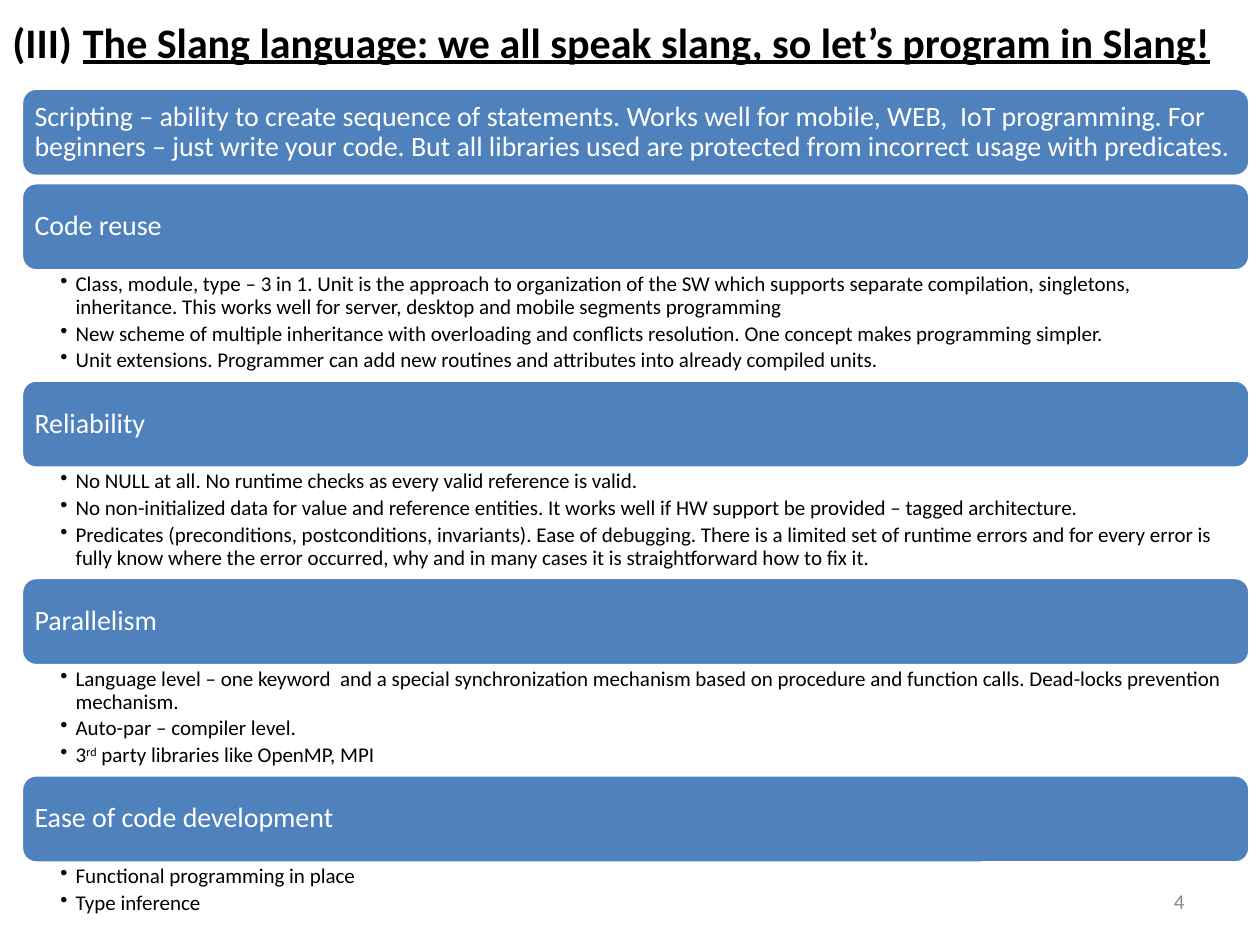
from lxml import etree
from pptx import Presentation
from pptx.dml.color import RGBColor
from pptx.enum.shapes import MSO_SHAPE
from pptx.enum.text import MSO_ANCHOR, PP_ALIGN
from pptx.oxml.ns import qn
from pptx.util import Inches, Pt

ROUND = MSO_SHAPE.ROUNDED_RECTANGLE
TOP, MIDDLE = MSO_ANCHOR.TOP, MSO_ANCHOR.MIDDLE
LEFT, RIGHT = PP_ALIGN.LEFT, PP_ALIGN.RIGHT
BLUE = RGBColor(0x4F, 0x81, 0xBD)
WHITE = RGBColor(0xFF, 0xFF, 0xFF)
BLACK = RGBColor(0, 0, 0)
GRAY = RGBColor(0x8C, 0x8C, 0x8C)

# Layout in inches
EDGE, WIDTH, BAR = 0.17, 9.75, 0.7
FIRST, LAST = 1.45, 6.15

INTRO = (
    "Scripting – ability to create sequence of statements. Works well for "
    "mobile, WEB,  IoT programming. For beginners – just write your code. "
    "But all libraries used are protected from incorrect usage with predicates."
)

# Heading, height of the notes, notes; ^ marks off superscript
TOPICS = [
    ("Code reuse", 0.87, [
        "Class, module, type – 3 in 1. Unit is the approach to organization of "
        "the SW which supports separate compilation, singletons, inheritance. "
        "This works well for server, desktop and mobile segments programming",
        "New scheme of multiple inheritance with overloading and conflicts "
        "resolution. One concept makes programming simpler.",
        "Unit extensions. Programmer can add new routines and attributes into "
        "already compiled units.",
    ]),
    ("Reliability", 0.87, [
        "No NULL at all. No runtime checks as every valid reference is valid.",
        "No non-initialized data for value and reference entities. It works "
        "well if HW support be provided – tagged architecture.",
        "Predicates (preconditions, postconditions, invariants). Ease of "
        "debugging. There is a limited set of runtime errors and for every "
        "error is fully know where the error occurred, why and in many cases "
        "it is straightforward how to fix it.",
    ]),
    ("Parallelism", 0.87, [
        "Language level – one keyword  and a special synchronization mechanism "
        "based on procedure and function calls. Dead-locks prevention mechanism.",
        "Auto-par – compiler level.",
        "3^rd^ party libraries like OpenMP, MPI",
    ]),
    ("Ease of code development", 0.45, [
        "Functional programming in place",
        "Type inference",
    ]),
]


class Deck:
    """Holds the style and the current slide."""
    font = "Calibri"

    def __init__(self, slide):
        self.shapes = slide.shapes

    def style(self, run, size, color, bold=False, line=False):
        font = run.font
        font.name, font.size = self.font, Pt(size)
        font.bold, font.underline = bold, line
        font.color.rgb = color

    def frame(self, shape, pads, anchor):
        frame = shape.text_frame
        frame.word_wrap = True
        frame.vertical_anchor = anchor
        (frame.margin_left, frame.margin_top,
         frame.margin_right, frame.margin_bottom) = map(Inches, pads)
        return frame

    def mark(self, para, indent, tag, **attrs):
        props = para._p.get_or_add_pPr()
        props.set("marL", str(Inches(indent)))
        props.set("indent", str(-Inches(indent)))
        etree.SubElement(props, qn("a:" + tag), attrs)

    def text(self, box, words, size, color, anchor=TOP, align=LEFT, **look):
        shape = self.shapes.add_textbox(*map(Inches, box))
        para = self.frame(shape, (0.1, 0.05, 0.1, 0.05), anchor).paragraphs[0]
        para.text, para.alignment = words, align
        self.style(para.runs[0], size, color, **look)
        return para

    def bar(self, top, words):
        box = (EDGE, top, WIDTH, BAR)
        shape = self.shapes.add_shape(ROUND, *map(Inches, box))
        shape.shadow.inherit = False
        shape.fill.solid()
        shape.fill.fore_color.rgb = BLUE
        shape.line.color.rgb = WHITE
        shape.line.width = Pt(2)
        para = self.frame(shape, [0.07] * 4, MIDDLE).paragraphs[0]
        para.text, para.alignment, para.line_spacing = words, LEFT, 0.9
        self.style(para.runs[0], 16, WHITE)

    def notes(self, top, height, items):
        box = (EDGE, top, WIDTH, height)
        shape = self.shapes.add_textbox(*map(Inches, box))
        frame = self.frame(shape, (0.31, 0.02, 0.12, 0.02), TOP)
        for i, item in enumerate(items):
            para = frame.add_paragraph() if i else frame.paragraphs[0]
            para.level, para.line_spacing = 1, 0.9
            para.space_after = Pt(2.4)
            self.mark(para, 0.12, "buChar", char="•")
            for j, part in enumerate(item.split("^")):
                run = para.add_run()
                run.text = part
                self.style(run, 12, BLACK)
                if j % 2:
                    run._r.get_or_add_rPr().set("baseline", "30000")


prs = Presentation()
prs.slide_width, prs.slide_height = Inches(10), Inches(7.5)
deck = Deck(prs.slides.add_slide(prs.slide_layouts[6]))

# Slide number and title
deck.text((7.17, 6.95, 2.33, 0.4), "4", 12, GRAY, MIDDLE, RIGHT)
title = deck.text(
    (0, 0.08, 10.08, 0.5),
    "The Slang language: we all speak slang, so let’s program in Slang!",
    24, BLACK, bold=True, line=True)
deck.mark(title, 0.56, "buAutoNum", type="romanUcParenBoth", startAt="3")

# Intro bar, then evenly spaced topics
deck.bar(0.7, INTRO)
step = (LAST - FIRST) / (len(TOPICS) - 1)
for n, (head, height, items) in enumerate(TOPICS):
    top = FIRST + n * step
    deck.bar(top, head)
    deck.notes(top + BAR, height, items)

prs.save("out.pptx")
